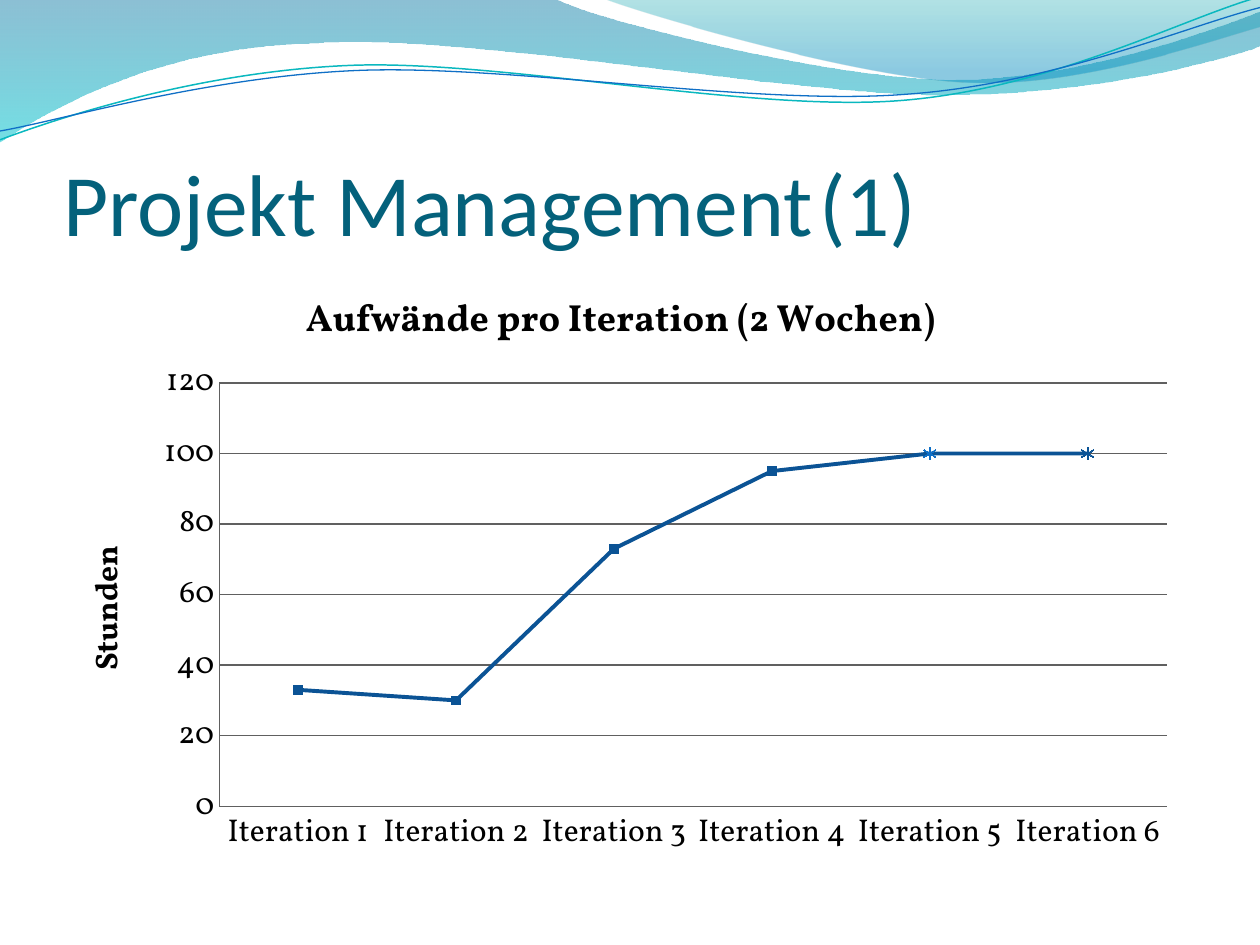
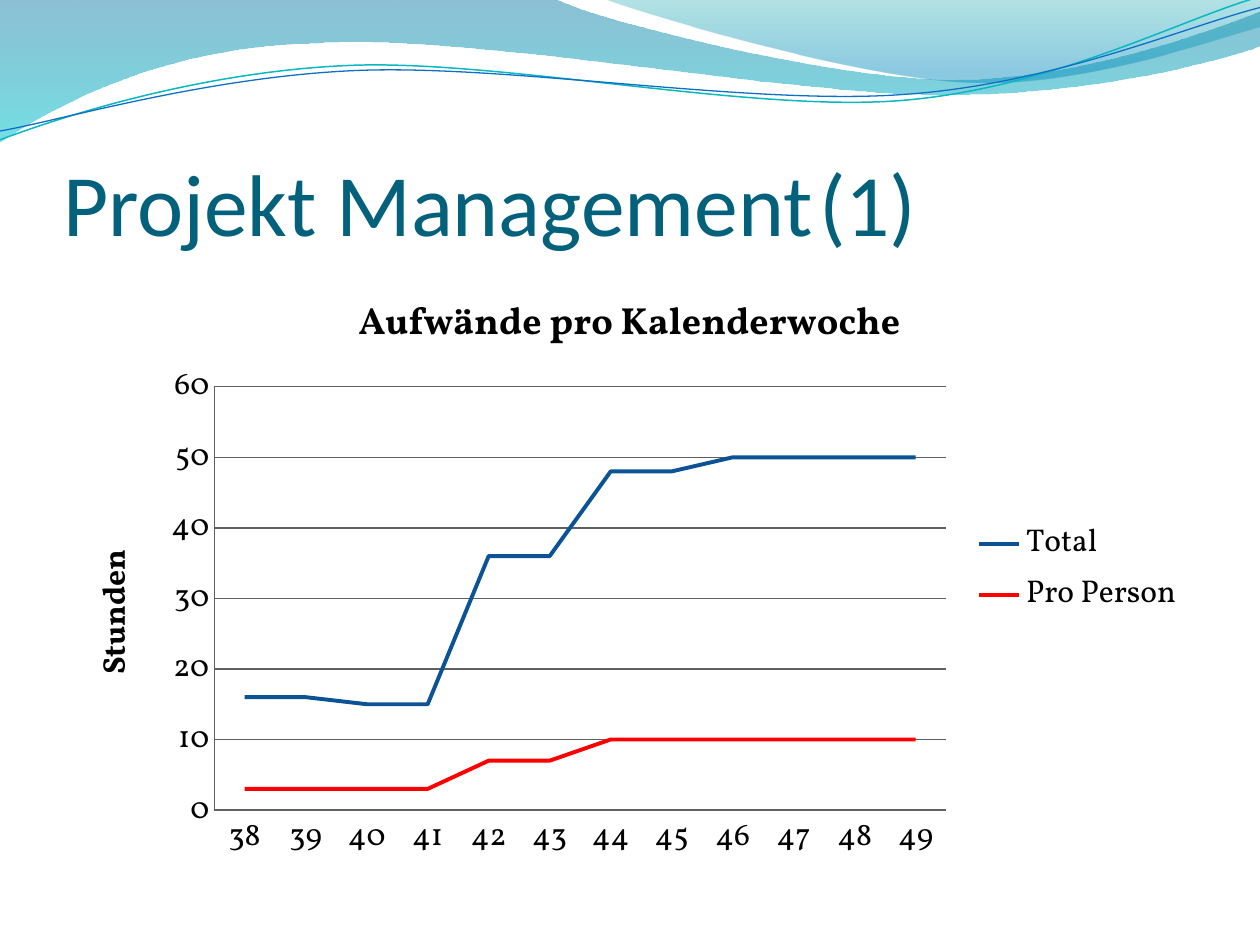
from dataclasses import dataclass

from lxml.etree import SubElement
from pptx import Presentation
from pptx.chart.axis import ValueAxis
from pptx.chart.chart import Chart
from pptx.chart.data import CategoryChartData
from pptx.dml.color import RGBColor
from pptx.enum.chart import XL_CHART_TYPE, XL_LEGEND_POSITION, XL_MARKER_STYLE, XL_TICK_MARK
from pptx.enum.text import MSO_ANCHOR, MSO_AUTO_SIZE, PP_ALIGN
from pptx.oxml.ns import qn
from pptx.shapes.autoshape import Shape
from pptx.slide import Slide, SlideMaster
from pptx.text.text import TextFrame
from pptx.util import Inches, Pt

COLORS = {
    "title": "04617B",
    "text": "000000",
    "grid": "606060",
    "total": "0B5395",
    "planned": "0F6FC6",
    "person": "FF0000",
    "wave_deep": "0074A1",
    "wave_cyan": "00C6CF",
    "wave_teal": "00A1A9",
    "wave_blue": "008BBF",
    "ribbon_teal": "0AB8BF",
    "ribbon_blue": "0F6FC6",
}
TITLE_FONT = "Calibri"
CHART_FONT = "Vollkorn"
CHART_WIDTH = 9
CHART_HEIGHT = 4.8


@dataclass(frozen=True)
class GradientStop:
    position: float
    color: str
    opacity: int


@dataclass(frozen=True)
class Wave:
    start: tuple[float, float]
    segments: list[tuple[float, ...]]
    stops: tuple[GradientStop, ...] = ()
    line_color: str = ""
    line_width: float = 0


@dataclass(frozen=True)
class Series:
    name: str
    values: list[float]
    color: str


@dataclass(frozen=True)
class PlotArea:
    left: float
    top: float
    width: float
    height: float


@dataclass(frozen=True)
class EffortChart:
    title: str
    left: float
    top: float
    chart_type: XL_CHART_TYPE
    categories: list[str]
    series: list[Series]
    maximum: int
    step: int
    plot: PlotArea


WAVES = [
    Wave(
        (0, 0),
        [
            (4.4, -0.01),
            (4.76, 0.17, 6.64, 0.63, 7.58, 0.63),
            (8.53, 0.63, 9.58, 0.26, 10, 0.09),
            (10.01, 0.36),
            (9.83, 0.44, 8.7, 0.76, 7.46, 0.75),
            (6.22, 0.75, 3.82, 0.28, 2.57, 0.34),
            (1.29, 0.36, 0.46, 0.83, -0.01, 1.13),
        ],
        stops=(GradientStop(0, "wave_deep", 45), GradientStop(1, "wave_cyan", 55)),
    ),
    Wave(
        (4.79, -0.01),
        [
            (5.09, 0.11, 6.82, 0.62, 7.69, 0.65),
            (8.56, 0.69, 9.61, 0.32, 10, 0.21),
            (10, 0),
        ],
        stops=(GradientStop(0, "wave_teal", 30), GradientStop(0.8, "wave_blue", 45)),
    ),
    Wave(
        (0, 1.11),
        [
            (0.48, 0.93, 1.58, 0.57, 2.77, 0.52),
            (3.95, 0.47, 5.93, 0.89, 7.13, 0.8),
            (8.33, 0.71, 9.38, 0.15, 9.98, -0.02),
        ],
        line_color="ribbon_teal",
        line_width=0.85,
    ),
    Wave(
        (0, 1.04),
        [
            (0.47, 0.96, 1.64, 0.61, 2.83, 0.56),
            (4.03, 0.51, 5.97, 0.84, 7.17, 0.75),
            (8.36, 0.67, 9.41, 0.21, 10, 0.06),
        ],
        line_color="ribbon_blue",
        line_width=0.75,
    ),
]

CHARTS = [
    EffortChart(
        "Aufwände pro Iteration (2 Wochen)", 0.43, 2.1, XL_CHART_TYPE.LINE_MARKERS,
        [f"Iteration {number}" for number in range(1, 7)],
        [Series("Series 1", [33, 30, 73, 95, 100, 100], "total")],
        120, 20, PlotArea(1.31, 0.94, 7.52, 3.36),
    ),
    EffortChart(
        "Aufwände pro Kalenderwoche", 0.5, 2.12, XL_CHART_TYPE.LINE,
        [str(week) for week in range(38, 50)],
        [
            Series("Total", [16, 16, 15, 15, 36, 36, 48, 48, 50, 50, 50, 50], "total"),
            Series("Pro Person", [3, 3, 3, 3, 7, 7, 10, 10, 10, 10, 10, 10], "person"),
        ],
        60, 10, PlotArea(1.2, 0.95, 5.81, 3.36),
    ),
]


def rgb(name: str) -> RGBColor:
    return RGBColor.from_string(COLORS[name])


def write_text(frame: TextFrame, text: str, *, size: float, font: str,
               color: str = "text", bold: bool = False,
               align: PP_ALIGN = PP_ALIGN.CENTER) -> None:
    paragraph = frame.paragraphs[0]
    paragraph.alignment = align
    run = paragraph.add_run()
    run.text = text
    run.font.size = Pt(size)
    run.font.name = font
    run.font.bold = bold
    run.font.color.rgb = rgb(color)


def bend_segments(shape: Shape, wave: Wave) -> None:
    lines = iter(shape.element.xpath(".//a:path/a:lnTo"))
    for segment in wave.segments:
        corners = [next(lines) for _ in range(len(segment) // 2)]
        if len(corners) == 3:
            curve = SubElement(corners[0].getparent(), qn("a:cubicBezTo"))
            corners[0].addprevious(curve)
            for corner in corners:
                curve.append(corner[0])
                corner.getparent().remove(corner)


def add_wave(slide: Slide, master: SlideMaster, wave: Wave, order: int) -> None:
    points = [(Inches(x), Inches(y)) for segment in wave.segments
              for x, y in zip(segment[::2], segment[1::2])]
    builder = slide.shapes.build_freeform(*(Inches(value) for value in wave.start), scale=1.0)
    builder.add_line_segments(points, close=bool(wave.stops))
    shape = builder.convert_to_shape()
    bend_segments(shape, wave)
    shape.shadow.inherit = False
    if wave.stops:
        shape.line.fill.background()
        shape.fill.gradient()
        shape.fill.gradient_angle = 270
        for target, stop in zip(shape.fill.gradient_stops, wave.stops):
            target.position = stop.position
            target.color.rgb = rgb(stop.color)
        for color, stop in zip(shape.element.xpath(".//a:gs/a:srgbClr"), wave.stops):
            SubElement(color, qn("a:alpha")).set("val", str(stop.opacity * 1000))
    else:
        shape.fill.background()
        shape.line.color.rgb = rgb(wave.line_color)
        shape.line.width = Pt(wave.line_width)
    shape.element.xpath("./p:nvSpPr/p:cNvPr")[0].set("id", str(100 + order))
    master.shapes.element.insert(2 + order, shape.element)


def add_title(slide: Slide) -> None:
    title = slide.shapes.title
    title.left, title.top = Inches(0.5), Inches(0.77)
    title.width, title.height = Inches(9), Inches(1.25)
    frame = title.text_frame
    frame.word_wrap = True
    frame.auto_size = MSO_AUTO_SIZE.NONE
    frame.vertical_anchor = MSO_ANCHOR.BOTTOM
    frame.margin_left = frame.margin_right = frame.margin_bottom = Inches(0)
    frame.margin_top = Inches(0.05)
    write_text(frame, "Projekt Management\t(1)", size=50, font=TITLE_FONT,
               color="title", align=PP_ALIGN.LEFT)


def place_plot(chart: Chart, plot: PlotArea) -> None:
    area = chart.element.xpath("./c:chart/c:plotArea")[0]
    for old in area.xpath("./c:layout"):
        area.remove(old)
    layout = SubElement(area, qn("c:layout"))
    area.insert(0, layout)
    manual = SubElement(layout, qn("c:manualLayout"))
    settings = {
        "layoutTarget": "inner", "xMode": "edge", "yMode": "edge",
        "x": plot.left / CHART_WIDTH, "y": plot.top / CHART_HEIGHT,
        "w": plot.width / CHART_WIDTH, "h": plot.height / CHART_HEIGHT,
    }
    for tag, value in settings.items():
        SubElement(manual, qn(f"c:{tag}")).set("val", str(value))


def format_value_axis(axis: ValueAxis, effort: EffortChart) -> None:
    axis.minimum_scale = 0
    axis.maximum_scale = effort.maximum
    axis.major_unit = effort.step
    axis.has_major_gridlines = True
    axis.major_gridlines.format.line.color.rgb = rgb("grid")
    axis.major_gridlines.format.line.width = Pt(0.75)
    axis_title = axis.axis_title
    write_text(axis_title.text_frame, "Stunden", size=18, font=CHART_FONT, bold=True)
    body = axis_title.element.xpath(".//a:bodyPr")[0]
    body.set("rot", "-5400000")
    body.set("vert", "horz")


def format_series(chart: Chart, effort: EffortChart) -> None:
    plot = chart.plots[0]
    plot.vary_by_categories = False
    for line, series in zip(plot.series, effort.series):
        line.smooth = False
        line.format.line.color.rgb = rgb(series.color)
        line.format.line.width = Pt(2.25)
        if effort.chart_type == XL_CHART_TYPE.LINE:
            line.marker.style = XL_MARKER_STYLE.NONE
            continue
        markers = [(line.marker, XL_MARKER_STYLE.SQUARE, 5, series.color)]
        for index, color in ((4, "planned"), (5, series.color)):
            point = line.points[index]
            point.format.line.color.rgb = rgb(color)
            point.format.line.width = Pt(2.25)
            markers.append((point.marker, XL_MARKER_STYLE.STAR, 7, color))
        for marker, style, size, color in markers:
            marker.style = style
            marker.size = size
            marker.format.fill.solid()
            marker.format.fill.fore_color.rgb = rgb(color)
            marker.format.line.color.rgb = rgb(color)


def add_effort_chart(slide: Slide, effort: EffortChart) -> None:
    data = CategoryChartData()
    data.categories = effort.categories
    for series in effort.series:
        data.add_series(series.name, series.values)
    chart = slide.shapes.add_chart(
        effort.chart_type, Inches(effort.left), Inches(effort.top),
        Inches(CHART_WIDTH), Inches(CHART_HEIGHT), data).chart
    chart.font.size = Pt(18)
    chart.font.name = CHART_FONT
    chart.font.color.rgb = rgb("text")
    chart.has_title = True
    write_text(chart.chart_title.text_frame, effort.title, size=21.6,
               font=CHART_FONT, bold=True)
    chart.has_legend = len(effort.series) > 1
    if chart.has_legend:
        chart.legend.position = XL_LEGEND_POSITION.RIGHT
        chart.legend.include_in_layout = False
    for axis in (chart.category_axis, chart.value_axis):
        axis.major_tick_mark = axis.minor_tick_mark = XL_TICK_MARK.NONE
        axis.format.line.color.rgb = rgb("grid")
        axis.format.line.width = Pt(0.75)
    format_value_axis(chart.value_axis, effort)
    format_series(chart, effort)
    place_plot(chart, effort.plot)


def main() -> None:
    presentation = Presentation()
    presentation.slide_width, presentation.slide_height = Inches(10), Inches(7.5)
    slides = [presentation.slides.add_slide(presentation.slide_layouts[5]) for _ in CHARTS]
    for order, wave in enumerate(WAVES):
        add_wave(slides[0], presentation.slide_master, wave, order)
    for slide, effort in zip(slides, CHARTS):
        add_title(slide)
        add_effort_chart(slide, effort)
    presentation.save("out.pptx")


if __name__ == "__main__":
    main()
